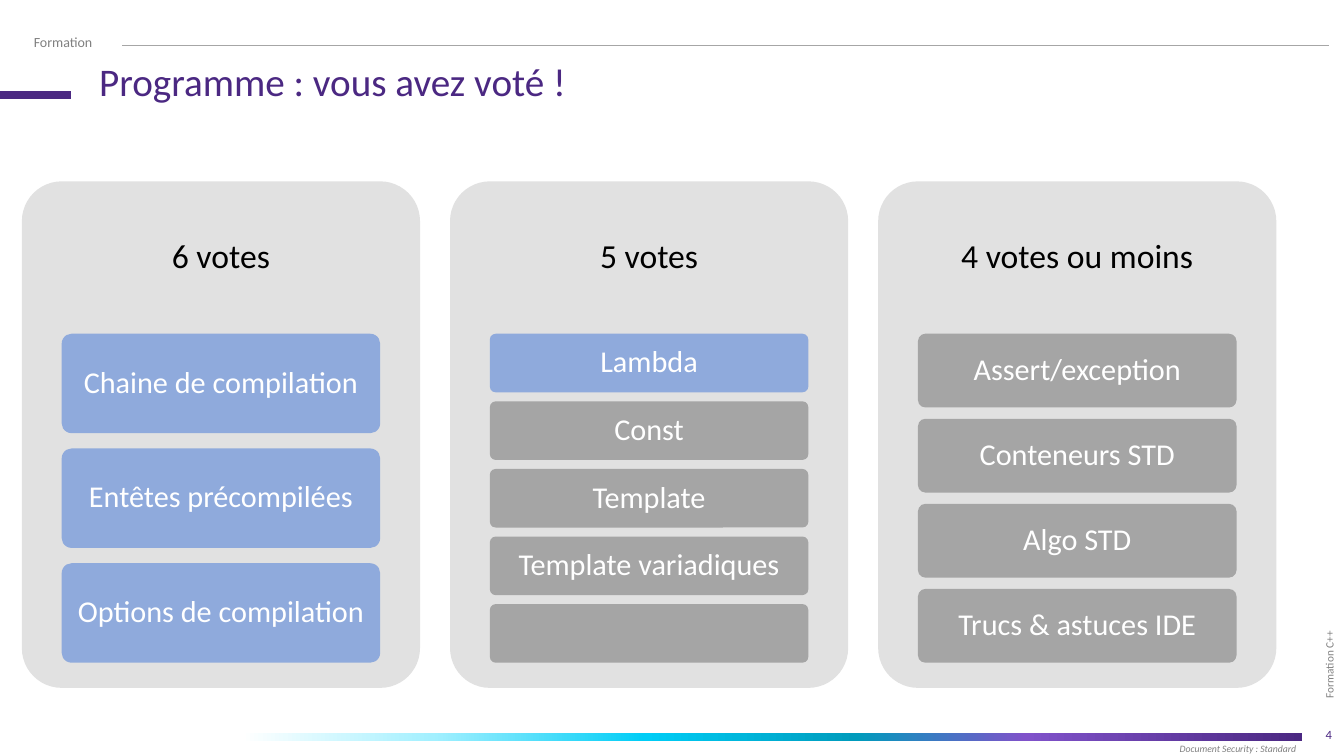
from lxml.etree import SubElement
from pptx import Presentation
from pptx.dml.color import RGBColor
from pptx.enum.shapes import MSO_CONNECTOR, MSO_SHAPE
from pptx.enum.text import MSO_ANCHOR, MSO_AUTO_SIZE, PP_ALIGN
from pptx.oxml.ns import qn
from pptx.util import Cm, Pt

FONT = "Calibri"
PURPLE = "4B2882"
GREY = "808080"
CHOSEN = "8FAADC"
OTHER = "A5A5A5"


def write(shape, text, size, color, align, anchor, inset_x, inset_y, spacing=1.0, italic=False, wrap=True):
    frame = shape.text_frame
    frame.word_wrap = wrap
    frame.auto_size = MSO_AUTO_SIZE.NONE
    frame.vertical_anchor = anchor
    frame.margin_left = frame.margin_right = Cm(inset_x)
    frame.margin_top = frame.margin_bottom = Cm(inset_y)
    paragraph = frame.paragraphs[0]
    paragraph.alignment = align
    paragraph.line_spacing = spacing
    run = paragraph.add_run()
    run.text = text
    run.font.name = FONT
    run.font.size = Pt(size)
    run.font.italic = italic
    run.font.color.rgb = RGBColor.from_string(color)


def add_block(kind, left, top, width, height, color):
    block = slide.shapes.add_shape(kind, Cm(left), Cm(top), Cm(width), Cm(height))
    block.shadow.inherit = False
    block.line.fill.background()
    block.fill.solid()
    block.fill.fore_color.rgb = RGBColor.from_string(color)
    if kind == MSO_SHAPE.ROUNDED_RECTANGLE:
        block.adjustments[0] = 0.1
    return block


presentation = Presentation()
presentation.slide_width = Cm(28.22)
presentation.slide_height = Cm(15.88)
slide = presentation.slides.add_slide(presentation.slide_layouts[5])

course = slide.shapes.add_textbox(Cm(25.2), Cm(11.81), Cm(5.36), Cm(0.76))
course.rotation = 270
write(course, "Formation C++", 6.7, GREY, PP_ALIGN.LEFT, MSO_ANCHOR.MIDDLE, 0.2, 0.2, 1.2)

page_number = slide.shapes.add_textbox(Cm(21.82), Cm(15.01), Cm(6.35), Cm(0.84))
write(page_number, "4", 7.5, PURPLE, PP_ALIGN.RIGHT, MSO_ANCHOR.MIDDLE, 0.2, 0.1)

security = slide.shapes.add_textbox(Cm(24.69), Cm(15.52), Cm(2.67), Cm(0.41))
write(security, "Document Security : Standard", 5.8, GREY, PP_ALIGN.LEFT, MSO_ANCHOR.MIDDLE,
      0.08, 0.08, italic=True, wrap=False)

footer_band = add_block(MSO_SHAPE.RECTANGLE, 5.08, 15.39, 22.25, 0.18, "FFFFFF")
footer_band.fill.gradient()
footer_band.fill.gradient_angle = 0
gradient_stops = footer_band.element.spPr.find(qn("a:gradFill")).find(qn("a:gsLst"))
for stop in list(gradient_stops):
    gradient_stops.remove(stop)
for percent, color in [(0, "FFFFFF"), (18, "A3F0FF"), (38, "00CDF6"),
                       (58, "009BBC"), (74, "8052CA"), (100, PURPLE)]:
    stop = SubElement(gradient_stops, qn("a:gs"), pos=str(percent * 1000))
    SubElement(stop, qn("a:srgbClr"), val=color)

section = slide.shapes.add_textbox(Cm(0.46), Cm(0.58), Cm(4.04), Cm(0.61))
write(section, "Formation", 8.3, GREY, PP_ALIGN.LEFT, MSO_ANCHOR.TOP, 0.25, 0.13)

for start, end, height, color, weight in [(2.57, 27.91, 0.96, "A6A6A6", 0.5),
                                          (0, 1.5, 1.99, PURPLE, 4.5)]:
    rule = slide.shapes.add_connector(MSO_CONNECTOR.STRAIGHT, Cm(start), Cm(height), Cm(end), Cm(height))
    rule.line.color.rgb = RGBColor.from_string(color)
    rule.line.width = Pt(weight)
    SubElement(rule.element.spPr, qn("a:effectLst"))

title = slide.shapes.title
title.left, title.top, title.width, title.height = Cm(1.83), Cm(1.19), Cm(11.81), Cm(0.76)
write(title, "Programme : vous avez voté !", 23.3, PURPLE, PP_ALIGN.LEFT, MSO_ANCHOR.TOP, 0.25, 0.13, 0.9)

vote_groups = [
    ("6 votes", [("Chaine de compilation", CHOSEN), ("Entêtes précompilées", CHOSEN),
                 ("Options de compilation", CHOSEN)]),
    ("5 votes", [("Lambda", CHOSEN), ("Const", OTHER), ("Template", OTHER),
                 ("Template variadiques", OTHER), ("", OTHER)]),
    ("4 votes ou moins", [("Assert/exception", OTHER), ("Conteneurs STD", OTHER),
                          ("Algo STD", OTHER), ("Trucs & astuces IDE", OTHER)]),
]
panel_top, panel_width, panel_height, panel_pitch = 3.81, 8.36, 10.64, 8.99
heading_height, topics_height = 3.2, 6.91
topic_width = panel_width * 0.8
gap_ratio = 2 / 13

for column, (votes, topics) in enumerate(vote_groups):
    panel_left = 0.46 + column * panel_pitch
    add_block(MSO_SHAPE.ROUNDED_RECTANGLE, panel_left, panel_top, panel_width, panel_height, "E1E1E1")
    heading = slide.shapes.add_textbox(Cm(panel_left), Cm(panel_top), Cm(panel_width), Cm(heading_height))
    write(heading, votes, 20, "000000", PP_ALIGN.CENTER, MSO_ANCHOR.MIDDLE, 0.2, 0.2, 0.9)

    topic_height = topics_height / (len(topics) + gap_ratio * (len(topics) - 1))
    for row, (topic, color) in enumerate(topics):
        topic_top = panel_top + heading_height + row * topic_height * (1 + gap_ratio)
        tile = add_block(MSO_SHAPE.ROUNDED_RECTANGLE, panel_left + panel_width * 0.1, topic_top,
                         topic_width, topic_height, color)
        if topic:
            write(tile, topic, 18, "FFFFFF", PP_ALIGN.CENTER, MSO_ANCHOR.MIDDLE, 0.19, 0.15, 0.9)

presentation.save("out.pptx")
